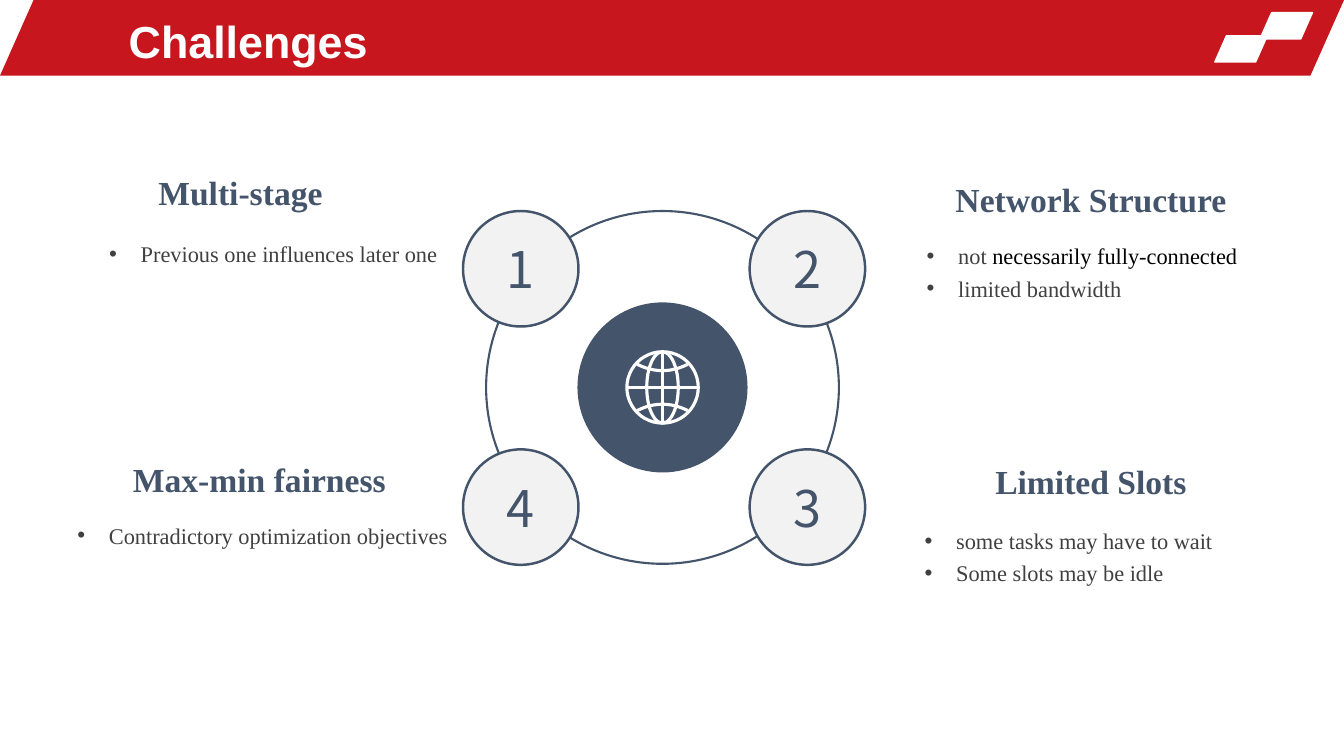
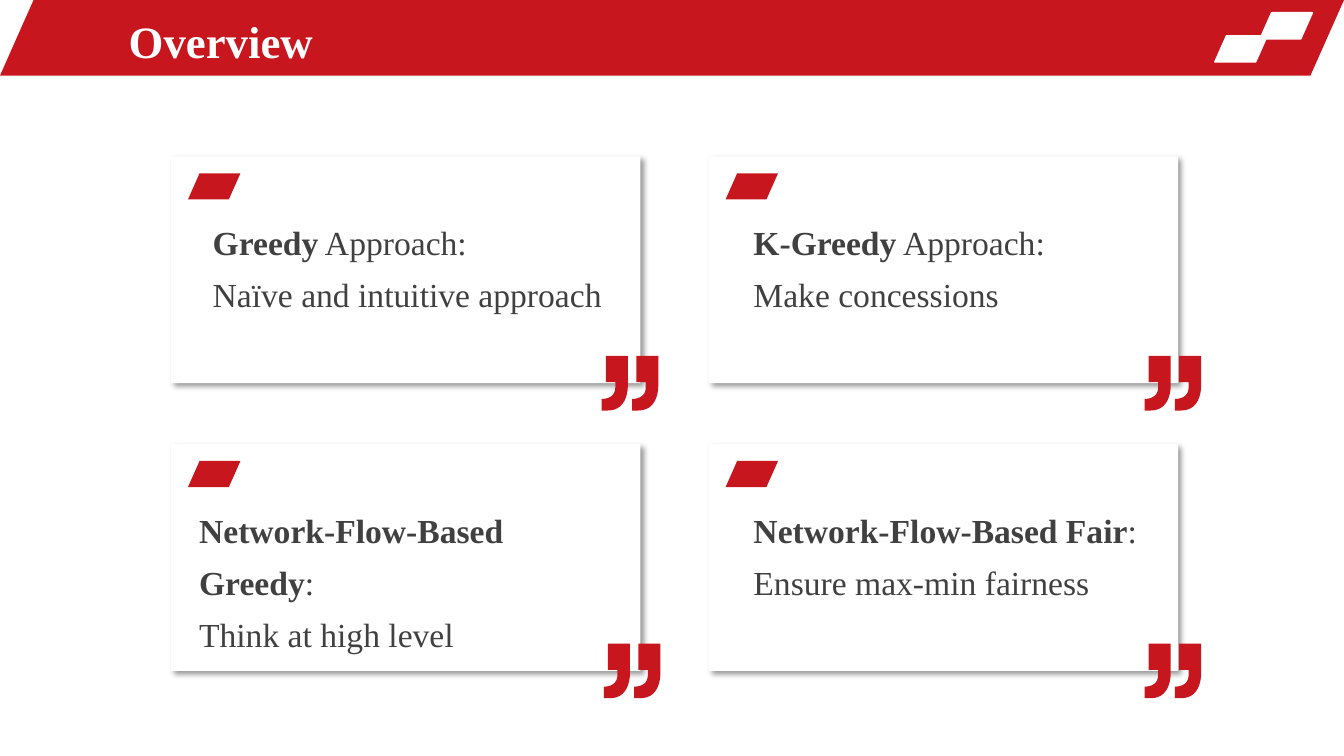
import lxml.etree
import pptx
import pptx.dml.color
import pptx.enum.shapes
import pptx.enum.text
import pptx.oxml.ns
import pptx.util

PX = 9525  # EMU per px, 96 px to the inch
COLORS = {"red": "C8161E", "slate": "44546A", "text": "404040",
          "pale": "F2F2F2", "white": "FFFFFF", "black": "000000"}
SERIF, SANS, DIGITS = "Times New Roman", "Arial", "Noto Sans CJK SC"
SHAPE = pptx.enum.shapes.MSO_SHAPE
ALIGN = pptx.enum.text.PP_ALIGN
ANCHOR = pptx.enum.text.MSO_ANCHOR
BULLET_INDENT = 30

# Centre of the ring diagram
CX, CY = 631, 369


def px(*lengths):
    return [pptx.util.Emu(round(n * PX)) for n in lengths]


def rgb(name):
    return pptx.dml.color.RGBColor.from_string(COLORS[name])


def sub(parent, tag, **attrs):
    return lxml.etree.SubElement(parent, pptx.oxml.ns.qn(tag), attrs)


# Text
def write(tf, paras, size=24, font=SERIF, color="text", bold=False,
          align=ALIGN.LEFT, spacing=1.0, bullet=False, anchor=ANCHOR.TOP):
    """Fill a frame; a paragraph is a list of (text, overrides) runs."""
    tf.word_wrap = True
    tf.auto_size = pptx.enum.text.MSO_AUTO_SIZE.NONE
    tf.vertical_anchor = anchor
    for i, runs in enumerate(paras):
        p = tf.add_paragraph() if i else tf.paragraphs[0]
        pPr = p._p.get_or_add_pPr()
        indent = BULLET_INDENT * PX if bullet else 0
        pPr.set("marL", str(indent))
        pPr.set("indent", str(-indent))
        if bullet:
            sub(pPr, "a:buFont", typeface=SANS)
            sub(pPr, "a:buChar", char="•")
        else:
            sub(pPr, "a:buNone")
        p.alignment = align
        p.line_spacing = spacing
        p.space_before = p.space_after = pptx.util.Pt(0)
        for text, own in runs:
            r = p.add_run()
            r.text = text
            r.font.name = font
            r.font.size = pptx.util.Pt(size)
            r.font.bold = own.get("bold", bold)
            r.font.color.rgb = rgb(own.get("color", color))


def plain(*lines):
    return [[(line, {})] for line in lines]


def fill_placeholder(s, ph, box, paras, **fmt):
    ph.left, ph.top, ph.width, ph.height = px(*box)
    s.shapes.element.append(ph.element)  # bring to front
    write(ph.text_frame, paras, **fmt)


def add_heading(s, x, y, text):
    sp = s.shapes.add_textbox(*px(x, y, 330, 48))
    write(sp.text_frame, plain(text), color="slate", bold=True, align=ALIGN.CENTER)


# Shapes
def paint(sp, fill=None, line=None, width=1):
    sp.shadow.inherit = False
    if fill:
        sp.fill.solid()
        sp.fill.fore_color.rgb = rgb(fill)
    else:
        sp.fill.background()
    if line:
        sp.line.color.rgb = rgb(line)
        sp.line.width = pptx.util.Pt(width)
    else:
        sp.line.fill.background()
    return sp


def add_shape(s, kind, box, **look):
    return paint(s.shapes.add_shape(kind, *px(*box)), **look)


def add_slant(s, box, **look):
    sp = add_shape(s, SHAPE.PARALLELOGRAM, box, **look)
    sp.adjustments[0] = 0.444
    return sp


def add_oval(s, x, y, rx, ry, **look):
    return add_shape(s, SHAPE.OVAL, (x - rx, y - ry, 2 * rx, 2 * ry), **look)


def add_line(s, x1, y1, x2, y2, color, width):
    cx = s.shapes.add_connector(pptx.enum.shapes.MSO_CONNECTOR.STRAIGHT,
                                *px(x1, y1, x2, y2))
    cx.line.color.rgb = rgb(color)
    cx.line.width = pptx.util.Pt(width)
    sub(cx._element.spPr, "a:effectLst")


def add_outline(s, contours, closed=True, **look):
    start, *rest = [[px(*point) for point in c] for c in contours]
    fb = s.shapes.build_freeform(*start[0], scale=1.0)
    fb.add_line_segments(start[1:], close=closed)
    for contour in rest:
        fb.move_to(*contour[0])
        fb.add_line_segments(contour[1:], close=closed)
    return paint(fb.convert_to_shape(), **look)


def bezier(a, b, c, d, steps=10):
    points = []
    for i in range(steps + 1):
        t = i / steps
        u = 1 - t
        points.append([u**3 * a[k] + 3 * u * u * t * b[k] + 3 * u * t * t * c[k]
                       + t**3 * d[k] for k in (0, 1)])
    return points


def add_quote(s, x, y):
    mark = [(4, 0), (25, 0),
            *bezier((25, 27), (25, 43), (18, 52), (6, 52)), (0, 52),
            *bezier((0, 41), (8, 41), (13, 37), (13, 30)), (13, 25), (4, 25)]
    add_outline(s, [[(x + dx + mx, y + my) for mx, my in mark] for dx in (0, 29)],
                fill="red")


def add_globe(s, x, y, radius=34, width=2.25):
    stroke = {"line": "white", "width": width}
    for rx in (radius, 15):
        add_oval(s, x, y, rx, radius, **stroke)
    add_line(s, x - radius, y, x + radius, y, "white", width)
    add_line(s, x, y - radius, x, y + radius, "white", width)
    for side in (-1, 1):
        parallel = [(x + dx, y + side * (16 + 6 * (dx / 24) ** 2))
                    for dx in range(-24, 25, 4)]
        add_outline(s, [parallel], closed=False, **stroke)


def add_card(s, x, y):
    card = add_shape(s, SHAPE.RECTANGLE, (x, y, 447, 216), fill="white")
    effects = card._element.spPr.find(pptx.oxml.ns.qn("a:effectLst"))
    shadow = sub(effects, "a:outerShdw", blurRad="50800", dist="38100",
                 dir="2700000", algn="tl", rotWithShape="0")
    sub(sub(shadow, "a:srgbClr", val=COLORS["black"]), "a:alpha", val="40000")
    add_slant(s, (x + 16, y + 16, 50, 25), fill="red")


# Shared frame
def add_band(s):
    """Draw the header band and hand it to the slide's layout."""
    band = [add_slant(s, (0, 0, 1280, 72), fill="red")]
    band += [add_slant(s, (x, y, 50, 25), fill="white", line="white")
             for x, y in ((1200, 12), (1157, 34))]
    for i, sp in enumerate(band):
        s.slide_layout.shapes.element.insert(2 + i, sp.element)


def new_slide(prs, title, font):
    """Add a slide with its title; return it with its four body placeholders."""
    s = prs.slides.add_slide(prs.slide_layouts.get_by_name("Comparison"))
    head, *bodies = list(s.placeholders)
    fill_placeholder(s, head, (113, 8, 743, 62), plain(title), size=32, font=font,
                     color="white", bold=True, anchor=ANCHOR.MIDDLE)
    return s, bodies


# Slides
def challenges(prs):
    s, bodies = new_slide(prs, "Challenges", SANS)
    add_band(s)
    for x, y, heading in ((64, 159, "Multi-stage"), (874, 166, "Network Structure"),
                          (874, 434, "Limited Slots"), (82, 432, "Max-min fairness")):
        add_heading(s, x, y, heading)

    connected = [("not ", {}), ("necessarily fully-connected", {"color": "black"})]
    lists = (
        ((34, 219, 392, 37), ALIGN.RIGHT, plain("Previous one influences later one")),
        ((873, 221, 383, 69), ALIGN.LEFT, [connected, *plain("limited bandwidth")]),
        ((871, 492, 383, 69), ALIGN.LEFT,
         plain("some tasks may have to wait", "Some slots may be idle")),
        ((31, 487, 405, 37), ALIGN.RIGHT, plain("Contradictory optimization objectives")),
    )
    for ph, (box, align, paras) in zip(bodies, lists):
        fill_placeholder(s, ph, box, paras, size=16, align=align,
                         spacing=1.2, bullet=True)

    # Ring, hub and numbered nodes
    add_oval(s, CX, CY, 81, 81, fill="slate")
    add_oval(s, CX, CY, 168, 168, line="slate", width=1.5)
    nodes = ((496, 256), (769, 256), (769, 483), (496, 483))
    for number, (x, y) in enumerate(nodes, 1):
        sp = add_oval(s, x, y, 55, 55, fill="pale", line="slate", width=1.75)
        write(sp.text_frame, plain(str(number)), size=36, font=DIGITS, color="slate",
              align=ALIGN.CENTER, anchor=ANCHOR.MIDDLE)
    add_globe(s, CX, CY)


def overview(prs):
    s, bodies = new_slide(prs, "Overview", SERIF)
    # Name, rest of the first line, second line, text inset, text width, quote offset
    cards = (
        ("Greedy", " Approach:", "Naïve and intuitive approach", 30, 407, 410),
        ("K-Greedy", " Approach:", "Make concessions", 33, 407, 415),
        ("Network-Flow-Based Greedy", ":", "Think at high level", 17, 420, 412),
        ("Network-Flow-Based Fair", ":", "Ensure max-min fairness", 33, 407, 415),
    )
    for i, (name, rest, detail, inset, width, quote_dx) in enumerate(cards):
        row, col = divmod(i, 2)
        x, y = 163 + 512 * col, 149 + 274 * row
        add_card(s, x, y)
        fill_placeholder(s, bodies[i], (x + inset, y + 46, width, 106),
                         [[(name, {"bold": True}), (rest, {})], *plain(detail)],
                         spacing=1.3)
        add_quote(s, x + quote_dx, y + 190)


def main():
    prs = pptx.Presentation()
    prs.slide_width, prs.slide_height = px(1280, 720)
    challenges(prs)
    overview(prs)
    prs.save("out.pptx")


if __name__ == "__main__":
    main()
